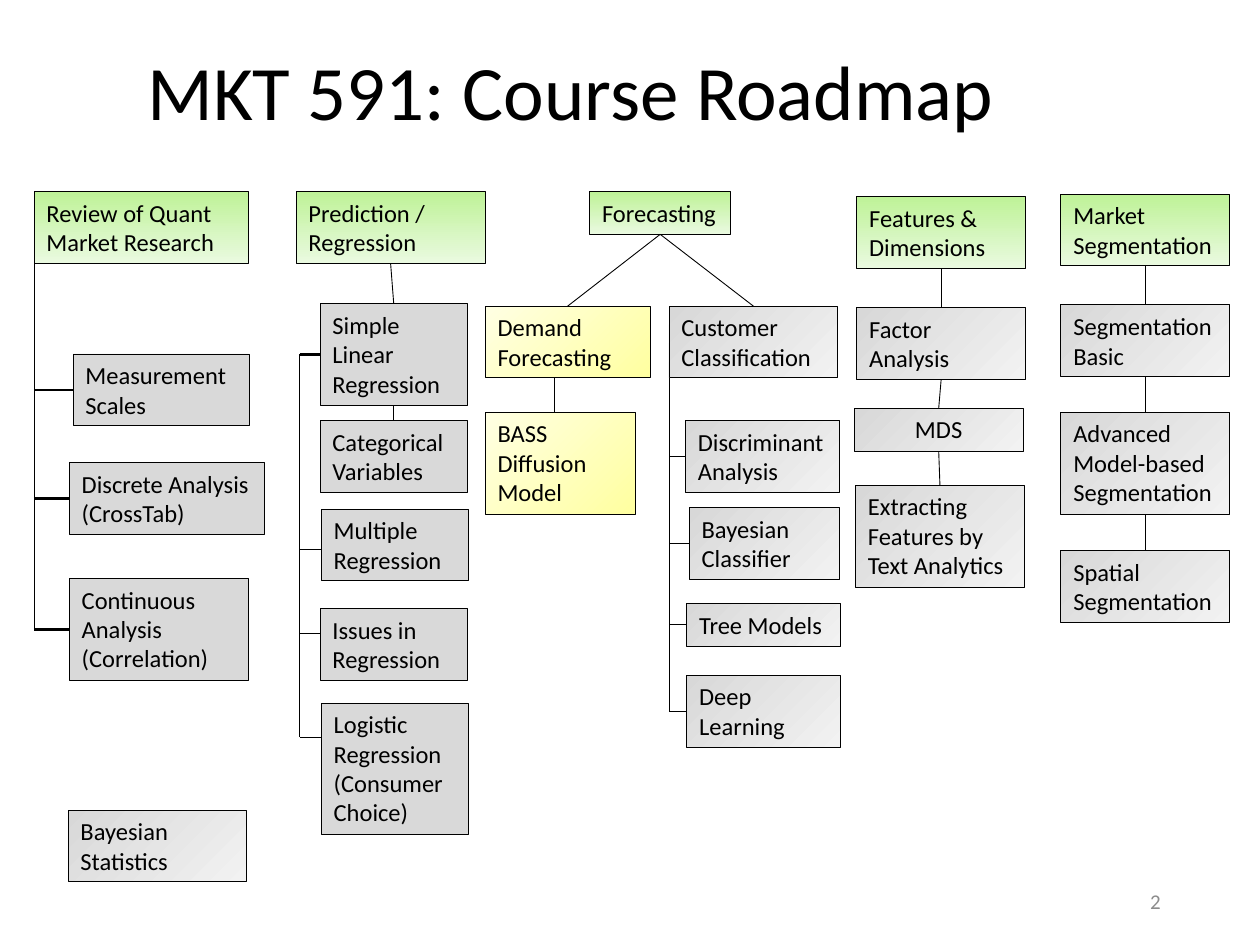
from pptx import Presentation, util as u
from pptx.dml.color import RGBColor
from pptx.enum import shapes, text
from pptx.oxml.ns import qn
from lxml import etree

Inches = u.Inches

# Fill styles: (colours, clockwise gradient angle)
FILLS = {
    "green": (("BEF297", "EAFAE0"), 90),
    "yellow": (("FFFFA0", "FFFFE3"), 225),
    "gray": (("D8D8D8", "F2F2F2"), 45),
    "flat": (("D9D9D9",), 0),
}
HEIGHTS = {1: 0.34, 2: 0.57, 3: 0.81, 4: 1.04}  # by number of text lines

# Topics: name, left, top, width, text lines, fill
TOPICS = [
    ("Review of Quant Market Research", 0.27, 1.52, 1.7, 2, "green"),
    ("Measurement Scales", 0.58, 2.81, 1.4, 2, "flat"),
    ("Discrete Analysis (CrossTab)", 0.55, 3.67, 1.55, 2, "flat"),
    ("Continuous Analysis (Correlation)", 0.55, 4.59, 1.42, 3, "flat"),
    ("Bayesian Statistics", 0.54, 6.43, 1.42, 2, "gray"),
    ("Prediction / Regression", 2.35, 1.52, 1.5, 2, "green"),
    ("Simple Linear Regression", 2.54, 2.41, 1.17, 3, "flat"),
    ("Categorical Variables", 2.54, 3.34, 1.17, 2, "flat"),
    ("Multiple Regression", 2.55, 4.04, 1.17, 2, "flat"),
    ("Issues in Regression", 2.54, 4.83, 1.17, 2, "flat"),
    ("Logistic Regression (Consumer Choice)", 2.55, 5.58, 1.17, 4, "flat"),
    ("Forecasting", 4.68, 1.52, 1.12, 1, "green"),
    ("Demand Forecasting", 3.85, 2.43, 1.31, 2, "yellow"),
    ("BASS Diffusion Model", 3.85, 3.27, 1.19, 3, "yellow"),
    ("Customer Classification", 5.31, 2.43, 1.34, 2, "gray"),
    ("Discriminant Analysis", 5.44, 3.34, 1.22, 2, "gray"),
    ("Bayesian Classifier", 5.47, 4.03, 1.19, 2, "gray"),
    ("Tree Models", 5.45, 4.79, 1.22, 1, "gray"),
    ("Deep Learning", 5.45, 5.36, 1.22, 2, "gray"),
    ("Features & Dimensions", 6.8, 1.56, 1.34, 2, "green"),
    ("Factor Analysis", 6.8, 2.44, 1.34, 2, "gray"),
    ("MDS", 6.78, 3.24, 1.34, 1, "gray"),
    ("Extracting Features by Text Analytics", 6.79, 3.85, 1.34, 3, "gray"),
    ("Market Segmentation", 8.42, 1.54, 1.34, 2, "green"),
    ("Segmentation Basic", 8.42, 2.42, 1.34, 2, "gray"),
    ("Advanced Model-based Segmentation", 8.42, 3.27, 1.34, 3, "gray"),
    ("Spatial Segmentation", 8.42, 4.37, 1.34, 2, "gray"),
]
CENTERED = {"MDS"}

# Downward links, each topic joined to the next
CHAINS = [
    ("Prediction / Regression", "Simple Linear Regression", "Categorical Variables"),
    ("Forecasting", "Demand Forecasting"),
    ("Forecasting", "Customer Classification"),
    ("Features & Dimensions", "Factor Analysis", "MDS",
     "Extracting Features by Text Analytics"),
    ("Market Segmentation", "Segmentation Basic",
     "Advanced Model-based Segmentation", "Spatial Segmentation"),
]

# Spines: x, top, bottom, branches (topic, line width, y or None for its middle)
SPINES = [
    (0.27, 2.09, 5, [("Measurement Scales", 1.5, None),
                     ("Discrete Analysis (CrossTab)", 1.5, None),
                     ("Continuous Analysis (Correlation)", 1.5, None)]),
    (2.38, 2.81, 5.85, [("Simple Linear Regression", 1.5, None),
                        ("Multiple Regression", 0.5, 4.36),
                        ("Issues in Regression", 0.5, 5.03),
                        ("Logistic Regression (Consumer Choice)", 0.5, 5.85)]),
    (5.31, 3, 5.64, [("Discriminant Analysis", 0.5, None),
                     ("Bayesian Classifier", 0.5, None),
                     ("Tree Models", 0.5, None),
                     ("Deep Learning", 0.5, None)]),
]
BOTTOM, TOP, LEFT = 2, 0, 1


def color(value):
    return RGBColor.from_string(value)


def write(shape, content, size, ink="000000", align=text.PP_ALIGN.LEFT):
    frame = shape.text_frame
    frame.text = content
    frame.word_wrap = True
    paragraph = frame.paragraphs[0]
    paragraph.alignment = align
    font = paragraph.runs[0].font
    font.name, font.size = "Calibri", u.Pt(size)
    font.color.rgb = color(ink)
    return frame


def add_label(slide, box, content, size, **style):
    label = slide.shapes.add_textbox(*map(Inches, box))
    frame = write(label, content, size, **style)
    frame.vertical_anchor = text.MSO_ANCHOR.MIDDLE
    return frame


def add_topic(slide, name, left, top, width, lines, fill):
    box = map(Inches, (left, top, width, HEIGHTS[lines]))
    shape = slide.shapes.add_shape(shapes.MSO_SHAPE.RECTANGLE, *box)
    shape.shadow.inherit = False
    colors, angle = FILLS[fill]
    if len(colors) == 1:
        shape.fill.solid()
        shape.fill.fore_color.rgb = color(colors[0])
    else:
        shape.fill.gradient()
        shape.fill.gradient_angle = 360 - angle
        for stop, value in zip(shape.fill.gradient_stops, colors):
            stop.color.rgb = color(value)
    shape.line.color.rgb = color("000000")
    shape.line.width = u.Pt(0.5)
    align = text.PP_ALIGN.CENTER if name in CENTERED else text.PP_ALIGN.LEFT
    frame = write(shape, name, 14, align=align)
    frame.vertical_anchor = text.MSO_ANCHOR.TOP
    frame.auto_size = text.MSO_AUTO_SIZE.SHAPE_TO_FIT_TEXT
    return shape


def add_line(slide, x1, y1, x2, y2, width=0.5):
    line = slide.shapes.add_connector(shapes.MSO_CONNECTOR.STRAIGHT, x1, y1, x2, y2)
    line.line.color.rgb = color("000000")
    line.line.width = u.Pt(width)
    etree.SubElement(line.element.spPr, qn("a:effectLst"))
    return line


def main():
    presentation = Presentation()
    presentation.slide_width, presentation.slide_height = Inches(10), Inches(7.5)
    slide = presentation.slides.add_slide(presentation.slide_layouts[6])

    # Title and slide number
    title = add_label(slide, (1.07, 0.03, 7.27, 1.45), "MKT 591: Course Roadmap", 44)
    title.paragraphs[0].line_spacing = 0.9
    add_label(slide, (7.06, 6.95, 2.25, 0.4), "2", 12,
              ink="8C8C8C", align=text.PP_ALIGN.RIGHT)

    topics = {topic[0]: add_topic(slide, *topic) for topic in TOPICS}

    # Links between stacked topics
    for chain in CHAINS:
        for upper, lower in zip(chain, chain[1:]):
            line = add_line(slide, 0, 0, 0, 0)
            line.begin_connect(topics[upper], BOTTOM)
            line.end_connect(topics[lower], TOP)
    add_line(slide, *map(Inches, (4.4, 3, 4.4, 3.27)))  # demand to diffusion

    # Spines with side branches
    for x, top, bottom, branches in SPINES:
        add_line(slide, *map(Inches, (x, top, x, bottom)))
        for name, width, y in branches:
            topic = topics[name]
            level = Inches(y) if y else topic.top + topic.height // 2
            branch = add_line(slide, Inches(x), level, topic.left, level, width)
            if y is None:
                branch.end_connect(topic, LEFT)

    presentation.save("out.pptx")


if __name__ == "__main__":
    main()
